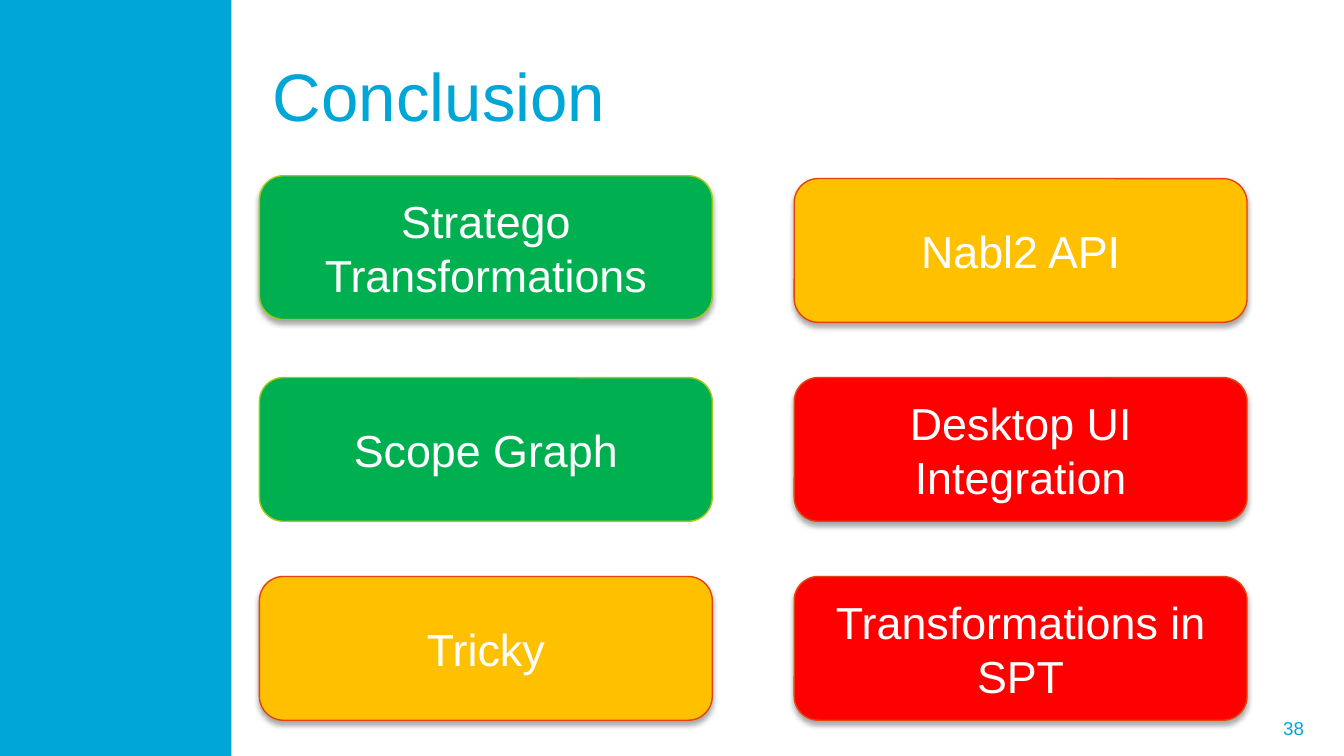
from lxml.etree import SubElement
from pptx import Presentation
from pptx.dml.color import RGBColor
from pptx.enum.shapes import MSO_SHAPE as Shape
from pptx.enum.text import MSO_ANCHOR as Anchor, PP_ALIGN as Align
from pptx.oxml.ns import qn
from pptx.util import Pt

CYAN, WHITE, BLACK = "00A6D6", "FFFFFF", "000000"
GREEN, AMBER, RED = "00B050", "FFC000", "FF0000"
LIME, ORANGE = "A4CA15", "E64210"

LEFT, TOP = 139, 95.7
COLUMN_STEP, ROW_STEP = 286.5, 106.6
BOX_WIDTH, BOX_HEIGHT = 242.6, 77

# Label, fill, outline, column, row, vertical nudge, shadow
TOPICS = [
    ("Scope Graph", GREEN, LIME, 0, 1, 0, False),
    ("Stratego Transformations", GREEN, LIME, 0, 0, -1.5, True),
    ("Nabl2 API", AMBER, ORANGE, 1, 0, 0, True),
    ("Desktop UI Integration", RED, ORANGE, 1, 1, 0, True),
    ("Transformations in SPT", RED, ORANGE, 1, 2, 0, True),
    ("Tricky", AMBER, ORANGE, 0, 2, 0, True),
]


def color(hex_value):
    return RGBColor.from_string(hex_value)


def set_text(shape, text, size, hex_value, align):
    frame = shape.text_frame
    frame.text = text
    frame.word_wrap = True
    frame.vertical_anchor = Anchor.MIDDLE
    para = frame.paragraphs[0]
    para.alignment = align
    font = para.runs[0].font
    for name, value in {"name": "Arial", "size": Pt(size), "bold": False}.items():
        setattr(font, name, value)
    font.color.rgb = color(hex_value)


def add_shadow(shape):
    """Fill the shape's empty effect list with a soft shadow below it."""
    effects = shape._element.spPr.find(qn("a:effectLst"))
    shadow = SubElement(effects, qn("a:outerShdw"), blurRad=str(Pt(3.1)),
                        dist=str(Pt(1.8)), dir="5400000", rotWithShape="0")
    tint = SubElement(shadow, qn("a:srgbClr"), val=BLACK)
    SubElement(tint, qn("a:alpha"), val="35000")


def add_block(page, kind, bounds, fill, outline=None):
    block = page.shapes.add_shape(kind, *map(Pt, bounds))
    block.shadow.inherit = False
    block.fill.solid()
    block.fill.fore_color.rgb = color(fill)
    if outline:
        block.line.color.rgb = color(outline)
        block.line.width = Pt(0.75)
    else:
        block.line.fill.background()
    return block


def add_topic(page, label, fill, outline, column, row, nudge, shadowed):
    bounds = (LEFT + column * COLUMN_STEP, TOP + row * ROW_STEP + nudge,
              BOX_WIDTH, BOX_HEIGHT)
    box = add_block(page, Shape.ROUNDED_RECTANGLE, bounds, fill, outline)
    set_text(box, label, 24, WHITE, Align.CENTER)
    if shadowed:
        add_shadow(box)


def set_title(page, text):
    title = page.shapes.title
    bounds = {"left": LEFT, "top": 16.6, "width": 559.4, "height": 67.7}
    for name, value in bounds.items():
        setattr(title, name, Pt(value))
    set_text(title, text, 36, CYAN, Align.LEFT)


def add_page_number(page, number):
    box = page.shapes.add_textbox(Pt(523.4), Pt(379.4), Pt(182.2), Pt(21.6))
    set_text(box, number, 10, CYAN, Align.RIGHT)


def main():
    deck = Presentation()
    deck.slide_width, deck.slide_height = Pt(720), Pt(405)
    page = deck.slides.add_slide(deck.slide_layouts[5])
    add_page_number(page, "38")
    add_block(page, Shape.RECTANGLE, (0, 0, 124, 405), CYAN)
    set_title(page, "Conclusion")
    for topic in TOPICS:
        add_topic(page, *topic)
    deck.save("out.pptx")


if __name__ == "__main__":
    main()
